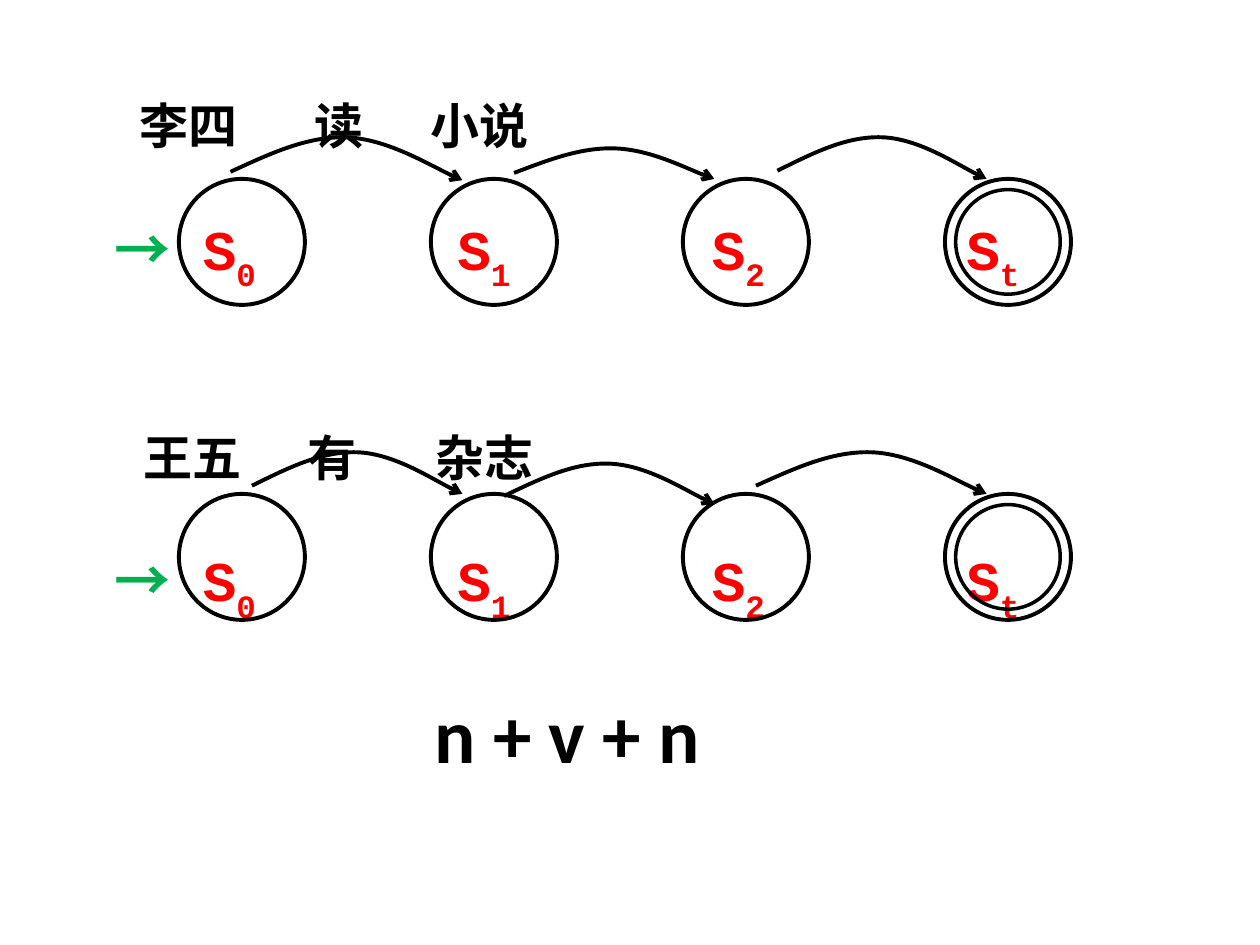
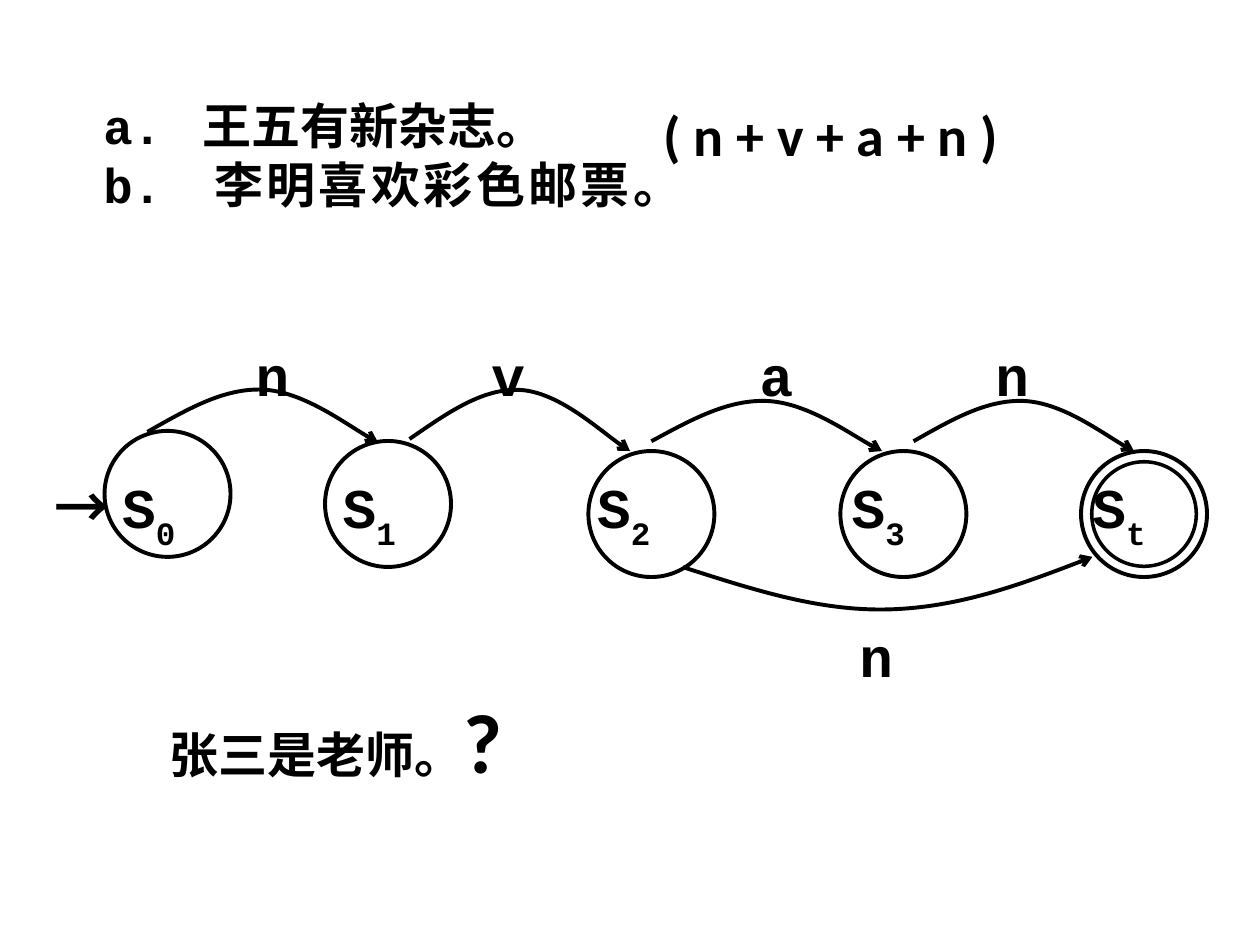
import pptx
import pptx.util
import pptx.dml.color
import pptx.enum.shapes
import pptx.oxml
import pptx.oxml.ns
from lxml import etree

COLS, ROWS = 10, 7.5
WIDE, HIGH = pptx.util.Inches(10), pptx.util.Inches(7.5)
INK, RED, GREEN = "000000", "FF0000", "00B050"
MONO, HAN, SANS = "Courier New", "Noto Sans CJK SC", "Calibri"
RING, INNER = 1, 0.83
ARC_X = (0, 0.17, 0.33, 0.5, 0.67)
ARC_Y = (0.81, 0.4, 0, 0.03, 0.06)


def col(n):
    return round(WIDE * n / COLS)


def row(n):
    return round(HIGH * n / ROWS)


def tint(code):
    return pptx.dml.color.RGBColor.from_string(code)


def node(home, name, **keys):
    item = etree.SubElement(home, pptx.oxml.ns.qn(name))
    for key, value in keys.items():
        item.set(key, str(value))
    return item


def add_run(para, words, size=28, font=MONO, hue=INK, sub=False, gap=0):
    run = para.add_run()
    run.text = words
    run.font.size = pptx.util.Pt(size)
    run.font.bold = True
    run.font.color.rgb = tint(hue)
    run.font.name = font
    mark = run.font._element
    node(mark, "a:ea", typeface=font)
    if sub:
        mark.set("baseline", "-30000")
    if gap:
        mark.set("spc", str(gap * 100))


def write(slide, box, lines, tabs=(), pad=(0, 0), wrap=False):
    """Each line is a list of (words, format) pairs; tabs holds stops for each line."""
    left, top, wide, high = box
    shape = slide.shapes.add_textbox(col(left), row(top), col(wide), row(high))
    frame = shape.text_frame
    frame.word_wrap = wrap
    frame.margin_left = frame.margin_right = col(pad[0])
    frame.margin_top = frame.margin_bottom = row(pad[1])
    for i, line in enumerate(lines):
        para = frame.paragraphs[0] if i == 0 else frame.add_paragraph()
        if tabs:
            stops = node(para._p.get_or_add_pPr(), "a:tabLst")
            for stop in tabs[i]:
                node(stops, "a:tab", pos=col(stop), algn="l")
        for words, style in line:
            add_run(para, words, **style)


def tabbed(words, **style):
    line = [(words[0], style)]
    for word in words[1:]:
        line += [("\t", {"size": style["size"]}), (word, style)]
    return line


def states(slide, box, names, stops, hue=INK, lead=INK):
    line = [("→", dict(size=32, font=HAN, hue=lead))]
    for name in names:
        line += [("\tS", dict(size=32, hue=hue)),
                 (name, dict(size=32, hue=hue, sub=True))]
    write(slide, box, [line], [stops])


def ring(slide, left, top, size, width):
    shape = slide.shapes.add_shape(pptx.enum.shapes.MSO_SHAPE.OVAL,
                                   col(left), row(top), col(size), row(size))
    shape.shadow.inherit = False
    shape.fill.background()
    shape.line.color.rgb = tint(INK)
    shape.line.width = pptx.util.Pt(width)


def rings(slide, box, spots):
    left, top = box
    for x, y in spots:
        ring(slide, left + x, top + y, RING, 2.25)
    x, y = spots[-1]
    inset = (RING - INNER) / 2
    ring(slide, left + x + inset, top + y + inset, INNER, 2)


def arc(slide, box, below=False):
    left, top, wide, high = box
    bend = (0.84, 0.47) if below else (0.92, 0.84)
    rise = [1 - y for y in ARC_Y] if below else list(ARC_Y)
    xs = [*ARC_X, bend[0], 1]
    ys = [*rise, bend[1], 0 if below else 1]
    spots = [(col(left + x * wide), row(top + y * high)) for x, y in zip(xs, ys)]
    pen = slide.shapes.build_freeform(*spots[0])
    pen.add_line_segments(spots[1:], close=False)
    shape = pen.convert_to_shape()
    shape.shadow.inherit = False
    shape.fill.background()
    shape.line.color.rgb = tint(INK)
    shape.line.width = pptx.util.Pt(2.25)
    node(shape.line._get_or_add_ln(), "a:tailEnd", type="arrow")
    qn = pptx.oxml.ns.qn
    track = next(shape._element.iter(qn("a:lnTo"))).getparent()
    steps = track.findall(qn("a:lnTo"))
    for i in range(0, len(steps), 3):
        curve = node(track, "a:cubicBezTo")
        for step in steps[i:i + 3]:
            curve.append(step[0])
            track.remove(step)


def arcs(slide, box, spans):
    left, top = box
    for x, y, wide, high in spans:
        arc(slide, (left + x, top + y, wide, high))


def lane(slide, box, words, start, stops, drop, spans):
    left, top = box
    write(slide, (left + start, top - 0.66 + drop, 4, 0.5),
          [tabbed(words, size=28, font=HAN)], [stops])
    states(slide, (left - 0.51, top + 0.28 + drop, 8, 0.6), "012t",
           [0.7 + 2.02 * i for i in range(4)], RED, GREEN)
    rings(slide, box, [(0, 0), (2, 0), (4, 0), (6.08, 0)])
    arcs(slide, box, spans)


def pattern(slide):
    lane(slide, (1.42, 1.42), ["李四", "读", "小说"], -0.31, (1.39, 2.31), 0,
         [(0.41, -0.34, 1.84, 0.35), (2.66, -0.25, 1.59, 0.25),
          (4.75, -0.34, 1.66, 0.34)])
    lane(slide, (1.42, 3.92), ["王五", "有", "杂志"], -0.28, (1.3, 2.32), 0.13,
         [(0.58, -0.34, 1.67, 0.34), (2.58, -0.25, 1.67, 0.33),
          (4.58, -0.34, 1.83, 0.34)])
    write(slide, (3.35, 5.4, 2.85, 0.83),
          [[("n + v + n", dict(size=44, font=SANS))]], pad=(0.1, 0.05), wrap=True)


def samples(slide, box):
    left, top = box
    write(slide, (left, top, 4.67, 0.95),
          [[("a.\t", {}), ("王五有新杂志。", dict(font=HAN))],
           [("b.\t", {}), ("李明喜欢彩色邮票。", dict(font=HAN, gap=2))]],
          [(0.79,), (0.88,)])
    write(slide, (left + 4.35, top - 0.01, 3.43, 0.63),
          [[("( n + v + a + n )", dict(size=32, font=SANS))]],
          pad=(0.1, 0.05), wrap=True)


def graph(slide, box):
    left, top = box
    write(slide, (left + 1.2, top - 0.72, 6.5, 0.5),
          [tabbed("nvan", size=32)], [(1.87, 4, 5.87)])
    states(slide, (left - 0.4, top + 0.33, 9.2, 0.6), "0123t",
           (0.54, 2.29, 4.31, 6.33, 8.24))
    write(slide, (left + 5.99, top + 1.51, 0.5, 0.5), [[("n", dict(size=32))]])
    rings(slide, box, [(0, 0), (1.75, 0.08), (3.84, 0.16),
                       (5.84, 0.16), (7.75, 0.16)])
    arcs(slide, box, [(0.34, -0.34, 1.83, 0.43), (2.42, -0.34, 1.75, 0.5),
                      (4.34, -0.25, 1.83, 0.41), (6.42, -0.25, 1.75, 0.41)])
    arc(slide, (left + 4.59, top + 1, 3.25, 0.43), below=True)


def variant(slide):
    samples(slide, (0.82, 0.76))
    graph(slide, (0.83, 3.42))
    write(slide, (1.25, 5.42, 3.84, 0.9),
          [[("张三是老师。", dict(font=SANS)), ("?", dict(size=48, font=SANS))]],
          pad=(0.1, 0.05), wrap=True)


def main():
    deck = pptx.Presentation()
    deck.slide_width, deck.slide_height = WIDE, HIGH
    for build in (pattern, variant):
        build(deck.slides.add_slide(deck.slide_layouts[6]))
    deck.save("out.pptx")


if __name__ == "__main__":
    main()
